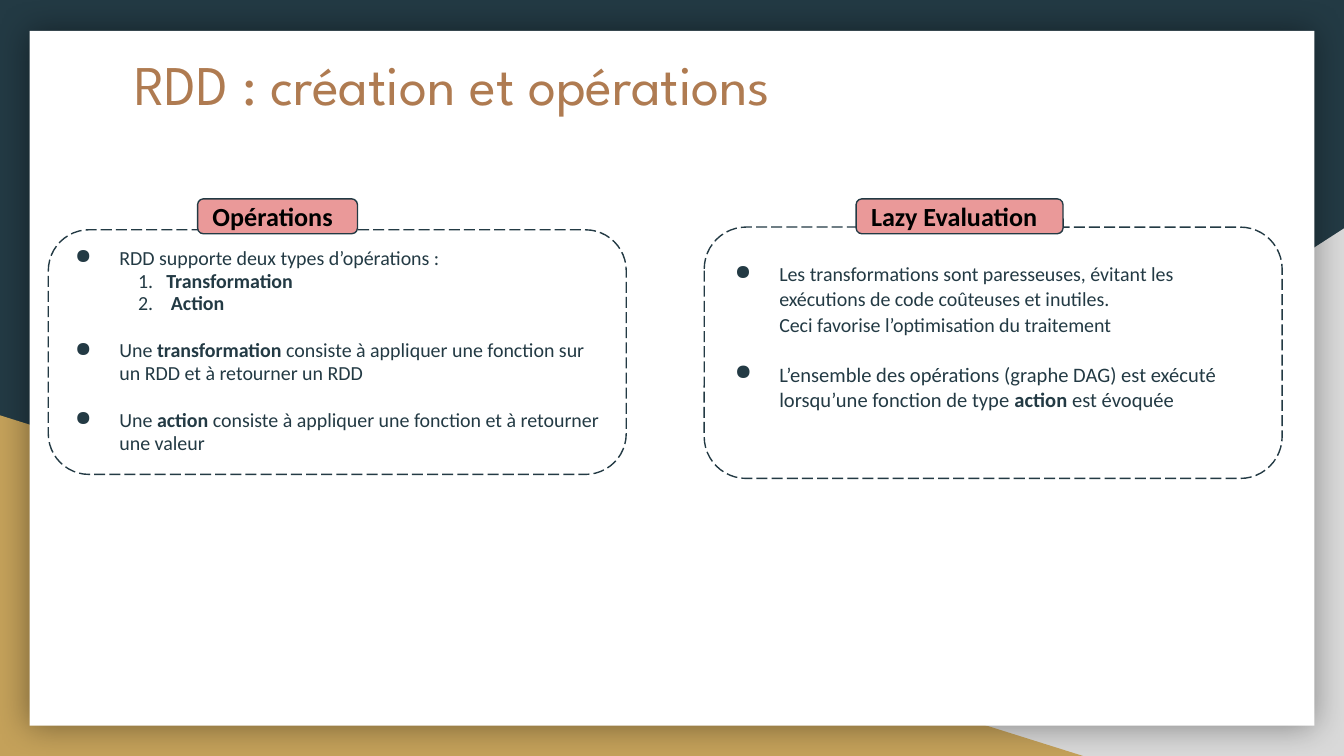
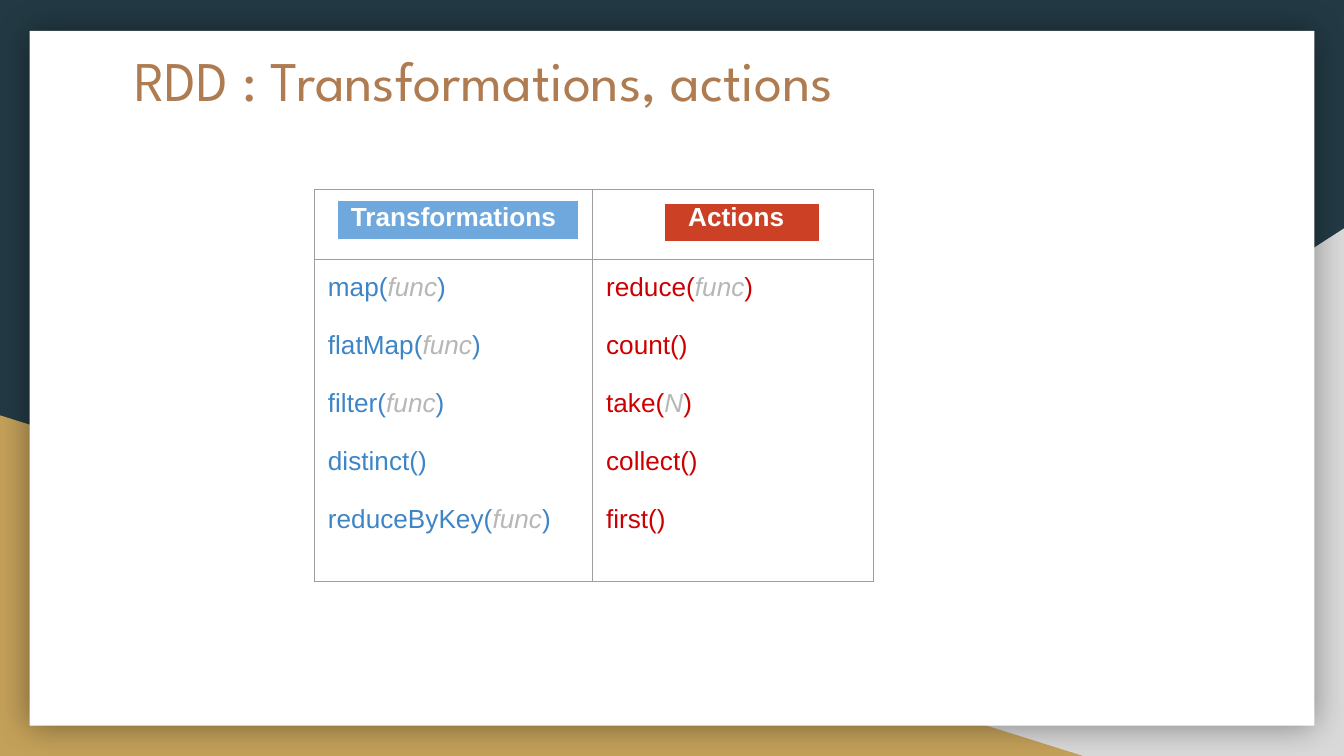
import pptx
import pptx.util
import pptx.oxml
import pptx.dml.color
import pptx.enum.dml
import pptx.enum.shapes
import pptx.enum.text

W, H = 10, 5.625
NAVY, GOLD, GREY, WHITE = "233A44", "C4A15A", "D9D9D9", "FFFFFF"
BROWN, PINK, BLACK, RULE = "AF7B51", "EA9999", "000000", "9E9E9E"
MUTED = "B7B7B7"
HEAD, BODY, CODE = "League Spartan", "Calibri", "Arial"
NS = 'xmlns:a="http://schemas.openxmlformats.org/drawingml/2006/main"'
KIND = pptx.enum.shapes.MSO_SHAPE
ALIGN = pptx.enum.text.PP_ALIGN
ANCHOR = pptx.enum.text.MSO_ANCHOR

BOLD = {"bold": True}
ITEM = {"left": 0.5, "hang": 0.33, "mark": "●"}
STEP = {"left": 0.85, "hang": 0.21}
GAP = {"after": 13}

CARDS = [
    {
        "head": "Opérations", "box": (0.36, 1.71, 4.3, 1.82),
        "tag": (1.47, 1.19), "text": (0.29, 1.74), "size": 10.7, "lead": 0.95,
        "paras": [
            (["RDD supporte deux types d’opérations :"], ITEM),
            (["1.\t", ("Transformation", BOLD)], STEP),
            (["2.\t ", ("Action", BOLD)], STEP | GAP),
            (["Une ", ("transformation", BOLD),
              " consiste à appliquer une fonction sur un RDD et à retourner un RDD"],
             ITEM | GAP),
            (["Une ", ("action", BOLD),
              " consiste à appliquer une fonction et à retourner une valeur"], ITEM),
        ],
    },
    {
        "head": "Lazy Evaluation", "box": (5.24, 1.69, 4.3, 1.87),
        "tag": (6.37, 1.54), "text": (5.2, 1.84), "size": 10.7, "lead": 1.05,
        "paras": [
            (["Les transformations sont paresseuses, évitant les exécutions de code "
              "coûteuses et inutiles.\nCeci favorise l’optimisation du traitement"],
             ITEM | GAP),
            ([("L’ensemble des opérations (graphe DAG) est exécuté "
               "lorsqu’une fonction de type ", {"size": 11}),
              ("action ", {"size": 11, "bold": True}),
              ("est évoquée", {"size": 11})], ITEM),
        ],
    },
]

CALLS = [
    {"head": "Transformations", "width": 2.07, "ink": "3D85C6",
     "fill": "6FA8DC", "tag": (2.51, 1.49, 1.8, 0.29),
     "list": [("map", "func"), ("flatMap", "func"), ("filter", "func"),
              ("distinct", ""), ("reduceByKey", "func")]},
    {"head": " Actions", "width": 2.09, "ink": "CC0000",
     "fill": "CC4125", "tag": (4.94, 1.51, 1.16, 0.29),
     "list": [("reduce", "func"), ("count", ""), ("take", "N"),
              ("collect", ""), ("first", "")]},
]
ROWS = (0.52, 2.4)


def inch(*vals):
    return [pptx.util.Inches(v) for v in vals]


def tint(code):
    return pptx.dml.color.RGBColor.from_string(code)


def node(xml):
    return pptx.oxml.parse_xml(xml.replace(">", f" {NS}>", 1) if "/>" not in xml.split(">")[0] + ">"
                               else xml.replace("/>", f" {NS}/>", 1))


def write(frame, paras, font=BODY, size=14, ink=NAVY, bold=False,
          align=ALIGN.LEFT, lead=None, after=0, anchor=None):
    frame.word_wrap = True
    if anchor is not None:
        frame.vertical_anchor = anchor
    for side in ("left", "right", "top", "bottom"):
        setattr(frame, f"margin_{side}", pptx.util.Inches(0.1))
    for i, (runs, form) in enumerate(paras):
        para = frame.paragraphs[0] if i == 0 else frame.add_paragraph()
        para.alignment = align
        para.space_before = pptx.util.Pt(0)
        para.space_after = pptx.util.Pt(form.get("after", after))
        if lead:
            para.line_spacing = lead
        if "left" in form:
            indent(para, form)
        for part in runs:
            text, look = (part, {}) if isinstance(part, str) else part
            for j, line in enumerate(text.split("\n")):
                if j:
                    para.add_line_break()
                run = para.add_run()
                run.text = line
                run.font.name = font
                run.font.size = pptx.util.Pt(look.get("size", size))
                run.font.bold = look.get("bold", bold)
                run.font.italic = look.get("italic", False)
                run.font.color.rgb = tint(look.get("ink", ink))


def indent(para, form):
    props = para._p.get_or_add_pPr()
    props.set("marL", str(pptx.util.Inches(form["left"])))
    props.set("indent", str(-pptx.util.Inches(form["hang"])))
    if "mark" in form:
        props.append(node(f'<a:buClr><a:srgbClr val="{NAVY}"/></a:buClr>'))
        props.append(node('<a:buSzPct val="104000"/>'))
        props.append(node(f'<a:buChar char="{form["mark"]}"/>'))


def label(slide, box, paras, **form):
    write(slide.shapes.add_textbox(*inch(*box)).text_frame, paras, **form)


def block(slide, kind, box, fill, line=None, dash=False):
    shape = slide.shapes.add_shape(kind, *inch(*box))
    shape.shadow.inherit = False
    shape.fill.solid()
    shape.fill.fore_color.rgb = tint(fill)
    if line:
        shape.line.color.rgb = tint(line)
        shape.line.width = pptx.util.Pt(0.75)
        if dash:
            shape.line.dash_style = pptx.enum.dml.MSO_LINE.LONG_DASH
    else:
        shape.line.fill.background()
    return shape


def start(deck, title, top):
    slide = deck.slides.add_slide(deck.slide_layouts[6])
    slide.background.fill.solid()
    slide.background.fill.fore_color.rgb = tint(NAVY)
    wedge = block(slide, KIND.RIGHT_TRIANGLE, (3.92, 1.7, W - 3.92, H - 1.7), GREY)
    wedge._element.spPr.xfrm.set("flipH", "1")
    block(slide, KIND.RIGHT_TRIANGLE, (0, 3.09, 8.06, H - 3.09), GOLD)
    page = block(slide, KIND.RECTANGLE, (0.22, 0.23, W - 0.44, 5.17), WHITE)
    glow = page._element.spPr.find(pptx.oxml.ns.qn("a:effectLst"))
    glow.append(node(
        f'<a:outerShdw blurRad="{pptx.util.Pt(18)}" dist="0" dir="0" algn="ctr" rotWithShape="0">'
        f'<a:srgbClr val="{BLACK}"><a:alpha val="40000"/></a:srgbClr></a:outerShdw>'))
    return slide, lambda: label(slide, (0.9, top, 8.21, 1.04), [([title], {})],
                                font=HEAD, size=30, ink=BROWN)


def cards(deck):
    slide, title = start(deck, "RDD : création et opérations", 0.27)
    for card in CARDS:
        block(slide, KIND.ROUNDED_RECTANGLE, card["box"], WHITE, NAVY, dash=True)
    title()
    for card in CARDS:
        label(slide, (*card["text"], 4.3, 1.92), card["paras"],
              size=card["size"], lead=card["lead"])
        left, wide = card["tag"]
        tag = block(slide, KIND.ROUNDED_RECTANGLE, (left, 1.48, wide, 0.26), PINK, NAVY)
        write(tag.text_frame, [([card["head"]], {})], ink=BLACK, bold=True,
              anchor=ANCHOR.MIDDLE)


def border(cell):
    props = cell._tc.get_or_add_tcPr()
    for i, side in enumerate("LRTB"):
        props.insert(i, node(
            f'<a:ln{side} w="{pptx.util.Pt(0.75)}"><a:solidFill>'
            f'<a:srgbClr val="{RULE}"/></a:solidFill></a:ln{side}>'))


def calls(deck):
    slide, title = start(deck, "RDD : Transformations, actions", 0.24)
    for col in reversed(CALLS):
        block(slide, KIND.RECTANGLE, col["tag"], col["fill"], WHITE)
    title()
    wide = sum(col["width"] for col in CALLS)
    grid = slide.shapes.add_table(len(ROWS), len(CALLS),
                                  *inch(2.34, 1.41, wide, sum(ROWS))).table
    grid.first_row = grid.horz_banding = False
    for row, high in zip(grid.rows, ROWS):
        row.height = pptx.util.Inches(high)
    for i, col in enumerate(CALLS):
        grid.columns[i].width = pptx.util.Inches(col["width"])
        head, body = grid.cell(0, i), grid.cell(1, i)
        for cell in (head, body):
            cell.fill.background()
            border(cell)
            for side in ("left", "right", "top", "bottom"):
                setattr(cell, f"margin_{side}", pptx.util.Inches(0.1))
        write(head.text_frame, [([col["head"]], {})], font=CODE, ink=WHITE,
              bold=True, align=ALIGN.CENTER)
        paras = [([f"{name}(", (arg, {"ink": MUTED, "italic": True}), ")"]
                  if arg else [f"{name}()"], {}) for name, arg in col["list"]]
        write(body.text_frame, paras, font=CODE, ink=col["ink"], after=15.4)


def main():
    deck = pptx.Presentation()
    deck.slide_width, deck.slide_height = inch(W, H)
    cards(deck)
    calls(deck)
    deck.save("out.pptx")


if __name__ == "__main__":
    main()
